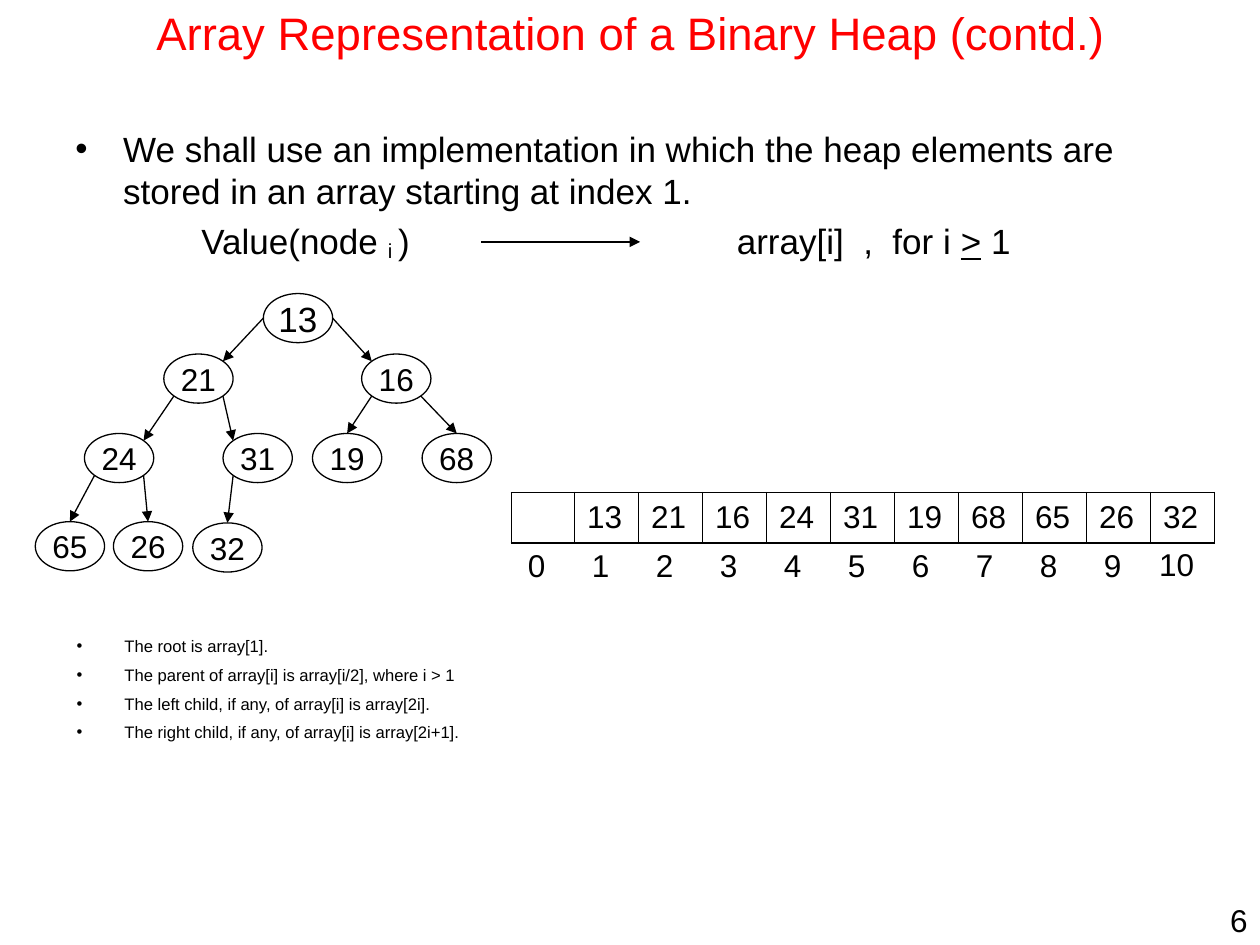
from lxml import etree
from pptx import Presentation
from pptx.dml.color import RGBColor
from pptx.enum.shapes import MSO_CONNECTOR, MSO_SHAPE
from pptx.enum.text import MSO_ANCHOR, PP_ALIGN
from pptx.oxml.ns import qn
from pptx.util import Inches, Pt

BLACK = RGBColor(0x00, 0x00, 0x00)
RED = RGBColor(0xFF, 0x00, 0x00)
MIDDLE, TOP = MSO_ANCHOR.MIDDLE, MSO_ANCHOR.TOP
LEFT, CENTER, RIGHT = PP_ALIGN.LEFT, PP_ALIGN.CENTER, PP_ALIGN.RIGHT
OVAL, STRAIGHT = MSO_SHAPE.OVAL, MSO_CONNECTOR.STRAIGHT
NODE_W, NODE_H = 0.55, 0.39
DIAGONAL = 0.5 ** 0.5
THIN, THICK = 0.45, 1.08

HEAP = [13, 21, 16, 24, 31, 19, 68, 65, 26, 32]
NODE_AT = [(2.09, 2.33), (1.3, 2.81), (2.87, 2.81), (0.67, 3.44), (1.77, 3.44),
           (2.48, 3.44), (3.35, 3.44), (0.28, 4.14), (0.9, 4.14), (1.53, 4.15)]
RULES = [
    "The root is array[1].",
    "The parent of array[i] is array[i/2], where i > 1",
    "The left child, if any, of array[i] is array[2i].",
    "The right child, if any, of array[i] is array[2i+1].",
]


def node_point(index, dx, dy):
    """Point on a node's outline; dx and dy are fractions of its half axes."""
    x, y = NODE_AT[index]
    return x + NODE_W / 2 * (1 + dx), y + NODE_H / 2 * (1 + dy)


class SlideBuilder:
    font = "Arial"

    def __init__(self, s):
        self.s = s

    def run(self, p, text, size, color=BLACK, **formats):
        r = p.add_run()
        r.text = text
        values = {"name": self.font, "size": Pt(size), **formats}
        for name, value in values.items():
            setattr(r.font, name, value)
        r.font.color.rgb = color
        return r

    def title(self, text, x, y, w, h):
        sp = self.s.shapes.title
        box = {"left": x, "top": y, "width": w, "height": h}
        for name, value in box.items():
            setattr(sp, name, Inches(value))
        tf = sp.text_frame
        tf.vertical_anchor = MIDDLE
        tf.paragraphs[0].alignment = CENTER
        self.run(tf.paragraphs[0], text, 26, RED)

    def text_box(self, x, y, w, h):
        sp = self.s.shapes.add_textbox(*map(Inches, (x, y, w, h)))
        sp.text_frame.word_wrap = True
        return sp.text_frame

    def paragraph(self, tf, margin=0, indent=0, bullet=None):
        """Use the box's empty first paragraph, or add a spaced one."""
        first = not tf.paragraphs[0].runs
        p = tf.paragraphs[0] if first else tf.add_paragraph()
        pPr = p._p.get_or_add_pPr()
        lengths = {"marL": margin, "indent": indent, "defTabSz": 1}
        for name, value in lengths.items():
            pPr.set(name, str(Inches(value)))
        if bullet:
            etree.SubElement(pPr, qn("a:buFont"), typeface=self.font)
            etree.SubElement(pPr, qn("a:buChar"), char=bullet)
        if not first:
            p.space_before = Pt(5)
        return p

    def bullet(self, tf, text, size):
        self.run(self.paragraph(tf, 0.38, -0.38, "•"), text, size)

    def node(self, value, x, y, size):
        sp = self.s.shapes.add_shape(OVAL, *map(Inches, (x, y, NODE_W, NODE_H)))
        sp.shadow.inherit = False
        sp.fill.background()
        sp.line.color.rgb = BLACK
        sp.line.width = Pt(0.75)
        tf = sp.text_frame
        tf.word_wrap = False
        tf.vertical_anchor = MIDDLE
        p = tf.paragraphs[0]
        p.alignment = CENTER
        self.run(p, str(value), size)

    def arrow(self, start, end):
        c = self.s.shapes.add_connector(STRAIGHT, *map(Inches, (*start, *end)))
        c.line.color.rgb = BLACK
        c.line.width = Pt(0.75)
        etree.SubElement(c.line._get_or_add_ln(), qn("a:tailEnd"), type="triangle")
        etree.SubElement(c._element.spPr, qn("a:effectLst"))

    def borders(self, cell, widths):
        """Set left, right, top and bottom lines; width 0 means no line."""
        tcPr = cell._tc.get_or_add_tcPr()
        for i, (side, width) in enumerate(zip("LRTB", widths)):
            ln = etree.Element(qn(f"a:ln{side}"), w=str(Pt(width)))
            if width:
                fill = etree.SubElement(ln, qn("a:solidFill"))
                etree.SubElement(fill, qn("a:srgbClr"), val=str(BLACK))
            else:
                etree.SubElement(ln, qn("a:noFill"))
            tcPr.insert(i, ln)

    def row(self, values, x, y, w, outer=(0, 0, 0, 0), inner=0, anchor=MIDDLE):
        """One-row table; outer gives its left, right, top and bottom lines."""
        n = len(values)
        frame = self.s.shapes.add_table(1, n, *map(Inches, (x, y, w, 0.4)))
        table = frame.table
        table.first_row = table.horz_banding = False
        left, right, top, bottom = outer
        for i, value in enumerate(values):
            cell = table.cell(0, i)
            cell.fill.background()
            cell.vertical_anchor = anchor
            p = cell.text_frame.paragraphs[0]
            p.alignment = LEFT
            if value != "":
                self.run(p, str(value), 18)
            self.borders(cell, (inner if i else left,
                                inner if i < n - 1 else right, top, bottom))


def main():
    prs = Presentation()
    prs.slide_width, prs.slide_height = Inches(10), Inches(7.5)
    s = prs.slides.add_slide(prs.slide_layouts[5])
    b = SlideBuilder(s)

    b.title("Array Representation of a Binary Heap (contd.)", 0.51, 0, 9, 0.51)

    tf = b.text_box(0.5, 0.96, 9, 1.18)
    b.bullet(tf, "We shall use an implementation in which the heap elements are "
                 "stored in an array starting at index 1.", 20)
    p = b.paragraph(tf, 1.25, -0.25)
    b.run(p, "Value(node ", 20)
    subscript = b.run(p, "i ", 20)
    subscript.font._element.set("baseline", "-10000")
    b.run(p, ")\t\t\tarray[i]  ,  for i ", 20)
    b.run(p, ">", 20, underline=True)
    b.run(p, " 1", 20)
    b.arrow((3.82, 1.92), (5.08, 1.92))

    for i, (value, (x, y)) in enumerate(zip(HEAP, NODE_AT)):
        b.node(value, x, y, 18 if i else 20)
    for child in range(1, len(HEAP)):
        parent = (child - 1) // 2
        side = -1 if child % 2 else 1
        is_leaf = 2 * child + 1 >= len(HEAP)
        start = (side * DIAGONAL, DIAGONAL) if parent else (side, 0)
        end = (0, -1) if is_leaf else (-side * DIAGONAL, -DIAGONAL)
        b.arrow(node_point(parent, *start), node_point(child, *end))

    b.row(HEAP, 4.56, 3.91, 5.08, (THICK, THICK, THICK, THICK), THIN)
    b.row(range(10), 4.09, 4.3, 5.08)
    b.row([""], 4.06, 3.91, 0.5, (THICK, THICK, THICK, THICK))
    b.row([10], 9.1, 4.3, 0.55, anchor=TOP)

    tf = b.text_box(0.51, 5, 9, 1.1)
    for rule in RULES:
        b.bullet(tf, rule, 9.5)

    p = b.paragraph(b.text_box(9.47, 7.1, 0.53, 0.4))
    p.alignment = RIGHT
    b.run(p, "6", 18)

    prs.save("out.pptx")


if __name__ == "__main__":
    main()
